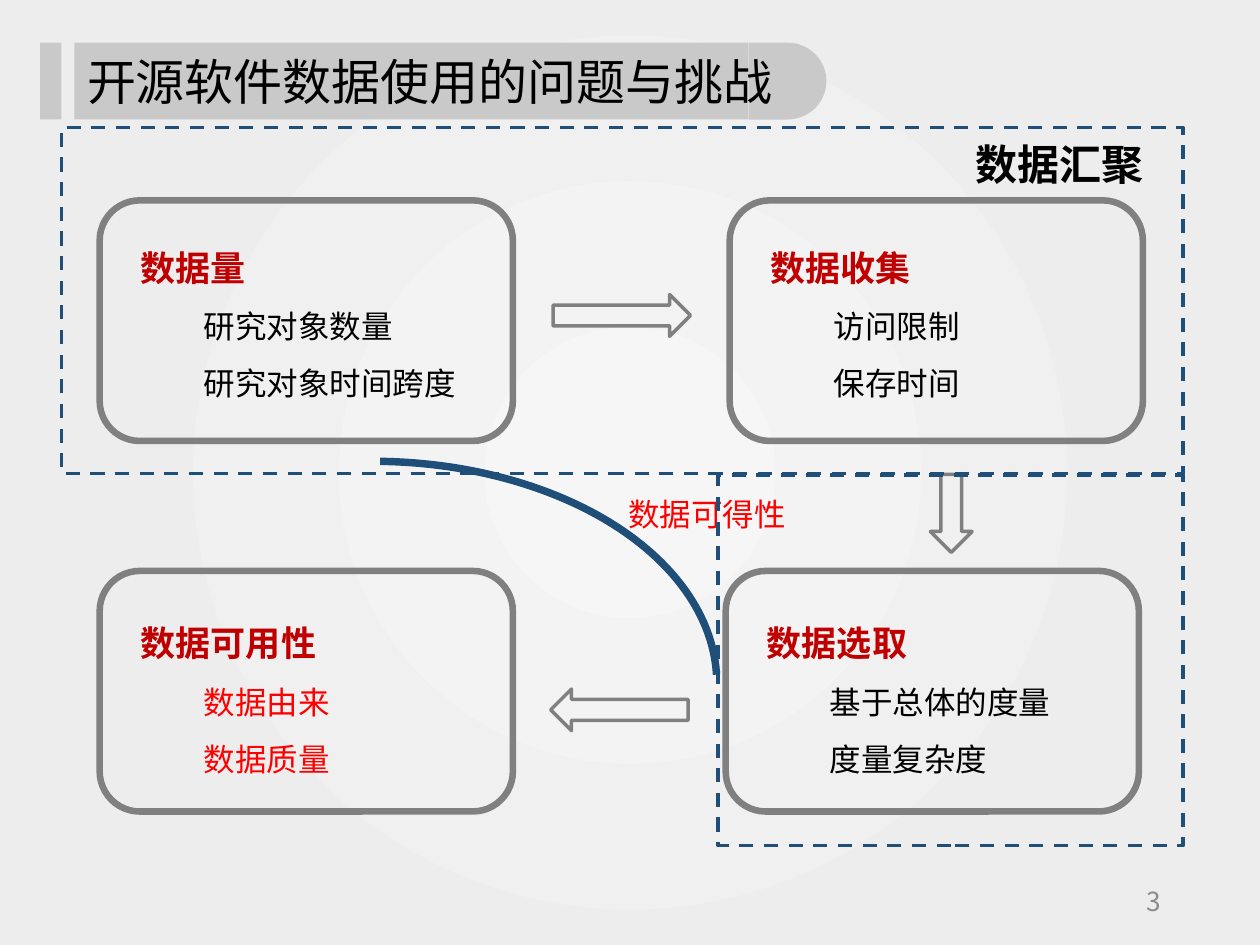
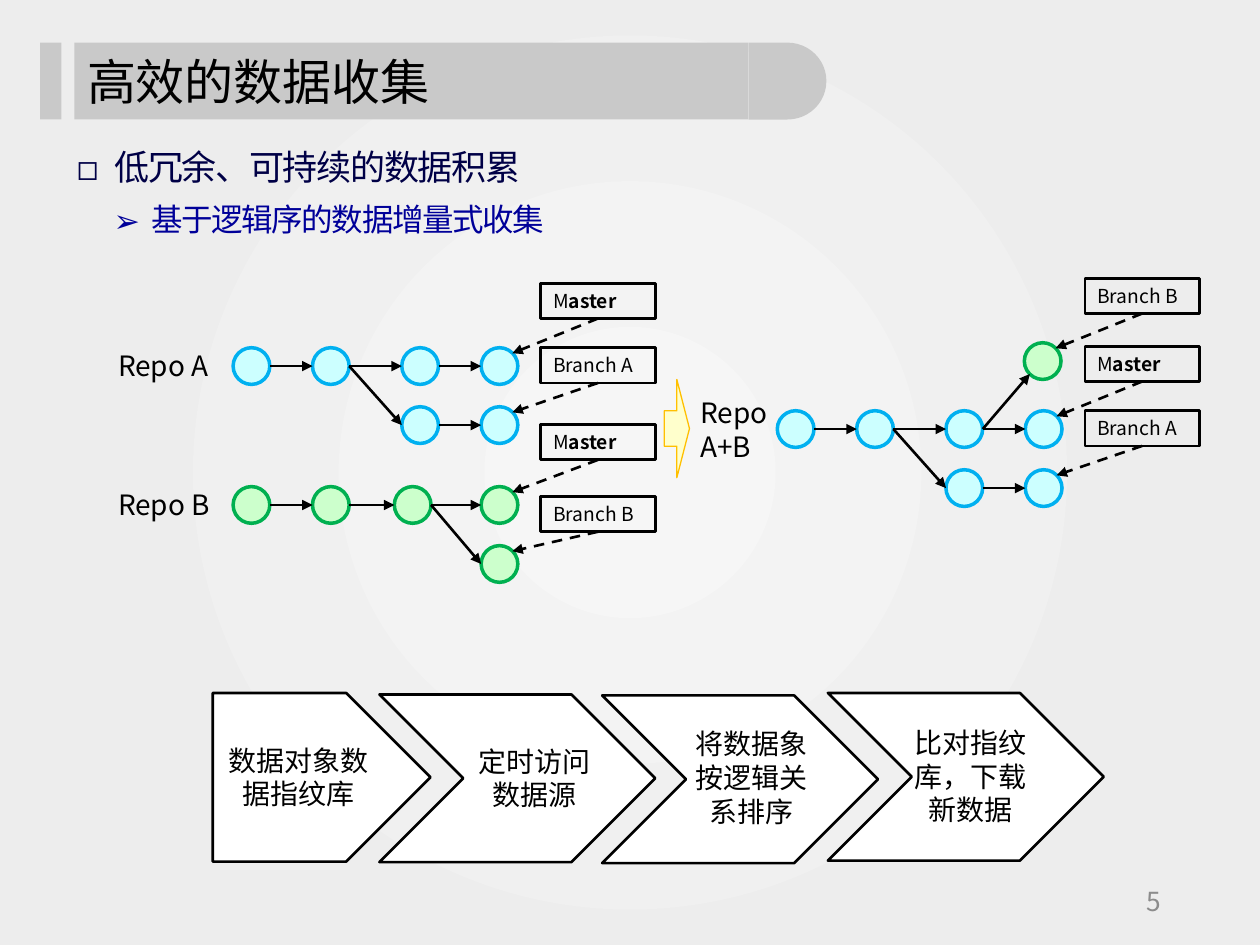
from lxml.etree import SubElement
from pptx import Presentation
from pptx.dml.color import RGBColor
from pptx.enum.dml import MSO_LINE
from pptx.enum.shapes import MSO_CONNECTOR, MSO_SHAPE
from pptx.enum.text import MSO_ANCHOR, MSO_AUTO_SIZE, PP_ALIGN
from pptx.oxml import parse_xml
from pptx.oxml.ns import nsdecls, qn
from pptx.util import Cm, Pt

FONT = "Noto Sans CJK SC"
BLACK, WHITE, GRAY, BAND, NAVY = "000000", "FFFFFF", "808080", "C9C9C9", "1F4E79"
DARK_RED, RED = "C00000", "FF0000"
BLUE_NODE = ("CCFFFF", "00B0F0")
GREEN_NODE = ("CCFFCC", "00B050")
BACKGROUND = ((0, "F6F6F6"), (74, "EDEDED"), (100, "EDEDED"))
NODE = 0.74
TAG_W, TAG_H = 2.31, 0.71


def rgb(color):
    return RGBColor.from_string(color)


def cm(*lengths):
    return [Cm(v) for v in lengths]


def write(sp, text, size=18, color=BLACK, bold=False, p=None, align=PP_ALIGN.LEFT,
          line=None, before=None, after=None, indent=0, hanging=0, bullet=None, spacing=None):
    tf = sp.text_frame
    if p is None:
        p = tf.paragraphs[0] if not tf.paragraphs[0].runs else tf.add_paragraph()
        p.alignment = align
        pPr = p._p.get_or_add_pPr()
        if indent:
            pPr.set("marL", str(Cm(indent)))
            pPr.set("indent", str(-Cm(hanging)))
        if bullet:
            SubElement(pPr, qn("a:buFont"), typeface=FONT)
            SubElement(pPr, qn("a:buChar"), char=bullet)
        if line:
            p.line_spacing = line
        if before is not None:
            p.space_before = Pt(before)
        if after is not None:
            p.space_after = Pt(after)
    r = p.add_run()
    r.text = text
    r.font.size, r.font.bold, r.font.name = Pt(size), bold, FONT
    r.font.color.rgb = rgb(color)
    rPr = r._r.get_or_add_rPr()
    SubElement(rPr, qn("a:ea"), typeface=FONT)
    if spacing:
        rPr.set("spc", str(round(spacing * 100)))
    return p


def add_box(s, x, y, w, h, anchor=MSO_ANCHOR.TOP):
    sp = s.shapes.add_textbox(*cm(x, y, w, h))
    sp.text_frame.word_wrap = True
    sp.text_frame.vertical_anchor = anchor
    return sp


def add_shape(s, kind, x, y, w, h, fill=None, line=None, width=2, dash=False, turn=0, adjust=()):
    sp = s.shapes.add_shape(kind, *cm(x, y, w, h))
    sp.shadow.inherit = False
    sp.rotation = turn
    for i, value in enumerate(adjust):
        sp.adjustments[i] = value
    if fill:
        sp.fill.solid()
        sp.fill.fore_color.rgb = rgb(fill)
    else:
        sp.fill.background()
    if line:
        sp.line.color.rgb = rgb(line)
        sp.line.width = Pt(width)
    else:
        sp.line.fill.background()
    if dash:
        sp.line.dash_style = MSO_LINE.DASH
    return sp


def add_arrow(s, start, end, dash=False):
    c = s.shapes.add_connector(MSO_CONNECTOR.STRAIGHT, *cm(*start, *end))
    c.line.color.rgb = rgb(BLACK)
    c.line.width = Pt(1.5)
    if dash:
        c.line.dash_style = MSO_LINE.DASH
    SubElement(c.line._get_or_add_ln(), qn("a:tailEnd"), type="triangle")
    SubElement(c._element.spPr, qn("a:effectLst"))


def set_background(master):
    master.background.fill.solid()
    bgPr = master._element.cSld.find(qn("p:bg")).find(qn("p:bgPr"))
    stops = "".join(f'<a:gs pos="{pos * 1000}"><a:srgbClr val="{color}"/></a:gs>'
                    for pos, color in BACKGROUND)
    gradient = parse_xml(
        f'<a:gradFill {nsdecls("a")} rotWithShape="1"><a:gsLst>{stops}</a:gsLst>'
        '<a:path path="circle"><a:fillToRect l="50000" t="50000" r="50000" b="50000"/>'
        '</a:path></a:gradFill>')
    bgPr.replace(bgPr.find(qn("a:solidFill")), gradient)


def add_slide(prs, title, number):
    s = prs.slides.add_slide(prs.slide_layouts[5])
    for kind, x, w in ((MSO_SHAPE.FLOWCHART_DELAY, 15.09, 1.57),
                       (MSO_SHAPE.RECTANGLE, 1.5, 13.59),
                       (MSO_SHAPE.RECTANGLE, 0.81, 0.43)):
        add_shape(s, kind, x, 0.86, w, 1.55, fill=BAND)
    sp = s.shapes.title
    sp.left, sp.top, sp.width, sp.height = cm(1.5, 0.91, 15.16, 1.6)
    sp.text_frame.auto_size = MSO_AUTO_SIZE.NONE
    sp.text_frame.vertical_anchor = MSO_ANCHOR.MIDDLE
    write(sp, title, size=28, line=0.9, before=0)
    s.shapes._spTree.append(sp._element)
    page = add_box(s, 17.93, 17.65, 5.72, 1.02, MSO_ANCHOR.MIDDLE)
    write(page, number, size=15, color="8C8C8C", align=PP_ALIGN.RIGHT)
    return s


def add_card(s, x, y, pad, heading, items, color=BLACK):
    add_shape(s, MSO_SHAPE.ROUNDED_RECTANGLE, x, y, 8.33, 4.85, line=GRAY, width=3.75)
    sp = add_box(s, x + 0.58, y + pad, 7.01, 3.84)
    write(sp, heading, size=20, color=DARK_RED, bold=True, line=1.5)
    for item in items:
        write(sp, item, color=color, line=1.5, indent=1.27)


def add_challenges(s):
    add_card(s, 2.01, 4.04, 0.38, "数据量", ("研究对象数量", "研究对象时间跨度"))
    add_card(s, 14.71, 4.04, 0.38, "数据收集", ("访问限制", "保存时间"))
    add_card(s, 14.63, 11.51, 0.48, "数据选取", ("基于总体的度量", "度量复杂度"))
    add_card(s, 2.01, 11.51, 0.48, "数据可用性", ("数据由来", "数据质量"), RED)
    for x, y, w, turn in ((11.15, 5.94, 2.77, 0), (18.39, 9.93, 1.57, 90), (11.1, 13.89, 2.77, 180)):
        add_shape(s, MSO_SHAPE.RIGHT_ARROW, x, y, w, 0.84, line=GRAY, turn=turn)
    add_shape(s, MSO_SHAPE.ARC, 0.58, 9.3, 13.87, 8.94, line=NAVY, width=4.25,
              adjust=(163.14, 215.16))
    write(add_box(s, 11.15, 9.47, 5, 1.27), "数据可得性", color=RED, line=1.5, indent=1.27)
    for box in ((1.24, 2.57, 22.61, 6.98), (14.48, 9.58, 9.37, 7.47)):
        add_shape(s, MSO_SHAPE.RECTANGLE, *box, line=NAVY, dash=True)
    write(add_box(s, 19.41, 2.67, 4.37, 1.27), "数据汇聚", size=24, bold=True)


def add_summary(s, x, y, w, h):
    sp = add_box(s, x, y, w, h)
    tf = sp.text_frame
    tf.margin_left = tf.margin_right = Cm(0.46)
    tf.margin_top = tf.margin_bottom = Cm(0.61)
    shared = dict(align=PP_ALIGN.JUSTIFY, line=Pt(20), after=4.5, hanging=0.76, spacing=-0.8)
    write(sp, "低冗余、可持续的数据积累", size=20, color="000046", indent=0.76, bullet="◻", **shared)
    write(sp, "基于逻辑序的数据增量式收集", color="000099", indent=1.5, bullet="➢", before=4.5, **shared)


def add_tag(s, x, y, name, target):
    sp = add_shape(s, MSO_SHAPE.RECTANGLE, x, y, TAG_W, TAG_H, line=BLACK, width=1.5)
    sp.text_frame.vertical_anchor = MSO_ANCHOR.MIDDLE
    if name == "Master":
        p = write(sp, name[0], size=11)
        write(sp, name[1:], size=11, bold=True, p=p)
    else:
        write(sp, name, size=11)
    nx, ny = target
    add_arrow(s, (x + TAG_W / 2, y + TAG_H), (nx + NODE * 0.85, ny + NODE * 0.15), dash=True)


def add_repo(s, x, y, label, label_box, nodes, edges, tags, rising=()):
    lx, ly, lw, lh = label_box
    sp = add_box(s, x + lx, y + ly, lw, lh)
    for text in label:
        write(sp, text, size=16)
    spots = [(x + dx, y + dy) for dx, dy, _ in nodes]
    for (nx, ny), (_, _, (fill, line)) in zip(spots, nodes):
        add_shape(s, MSO_SHAPE.OVAL, nx, ny, NODE, NODE, fill=fill, line=line)
    for edge in edges:
        (ax, ay), (bx, by) = (spots[i] for i in edge)
        dx, dy = (0.15, 0.85) if edge in rising else (0, 0.5)
        add_arrow(s, (ax + NODE, ay + NODE / 2), (bx + NODE * dx, by + NODE * dy))
    for name, dy, node in tags:
        add_tag(s, x + 6.2, y + dy, name, spots[node])


def add_repos(s):
    fork = [(dx, dy, BLUE_NODE) for dx, dy in
            ((0, 0), (1.6, 0), (3.4, 0), (5, 0), (3.4, 1.19), (5, 1.19))]
    fork_edges = [(0, 1), (1, 2), (2, 3), (1, 4), (4, 5)]
    line_b = [(dx, dy, GREEN_NODE) for dx, dy in
              ((0, 0), (1.6, 0), (3.25, 0), (5, 0), (5, 1.19))]
    side_label = (-2.57, -0.1, 3.18, 0.94)
    add_repo(s, 4.7, 7.01, ("Repo A",), side_label, fork, fork_edges,
             (("Master", -1.3, 3), ("Branch A", 0, 5)))
    add_repo(s, 4.7, 9.81, ("Repo B",), side_label, line_b,
             [(0, 1), (1, 2), (2, 3), (2, 4)], (("Master", -1.25, 3), ("Branch B", 0.2, 4)))
    add_repo(s, 15.67, 8.28, ("Repo", "A+B"), (-1.8, -0.43, 2.44, 1.63),
             fork + [(4.98, -1.37, GREEN_NODE)], fork_edges + [(2, 6)],
             (("Branch B", -2.67, 6), ("Master", -1.3, 3), ("Branch A", 0, 5)), rising=[(2, 6)])
    add_shape(s, MSO_SHAPE.RIGHT_ARROW, 13.39, 7.65, 0.51, 1.98, fill="FFFFCC", line="FFC000",
              width=0.75, adjust=(0.36, 0.5))


def add_step(s, kind, x, y, w, h, text, text_box):
    add_shape(s, kind, x, y, w, h, fill=WHITE, line=BLACK, width=1.5)
    dx, dy, tw, th = text_box
    write(add_box(s, x + dx, y + dy, tw, th), text, size=16, align=PP_ALIGN.CENTER)


def add_process(s):
    add_step(s, MSO_SHAPE.PENTAGON, 4.29, 13.97, 4.39, 3.4, "数据对象数据指纹库",
             (0.03, 0.89, 3.4, 1.63))
    for x, y, text, dx, dy, th in ((7.65, 14, "定时访问数据源", 1.67, 0.88, 1.63),
                                   (12.14, 14.02, "将数据象按逻辑关系排序", 1.55, 0.51, 2.31),
                                   (16.69, 13.97, "比对指纹库，下载新数据", 1.42, 0.53, 2.31)):
        add_step(s, MSO_SHAPE.CHEVRON, x, y, 5.56, 3.38, text, (dx, dy, 2.92, th))


def main():
    prs = Presentation()
    prs.slide_width, prs.slide_height = cm(25.4, 19.05)
    set_background(prs.slide_master)
    add_challenges(add_slide(prs, "开源软件数据使用的问题与挑战", "3"))
    s = add_slide(prs, "高效的数据收集", "5")
    add_summary(s, 1.09, 2.46, 23.39, 12.6)
    add_repos(s)
    add_process(s)
    prs.save("out.pptx")


if __name__ == "__main__":
    main()
